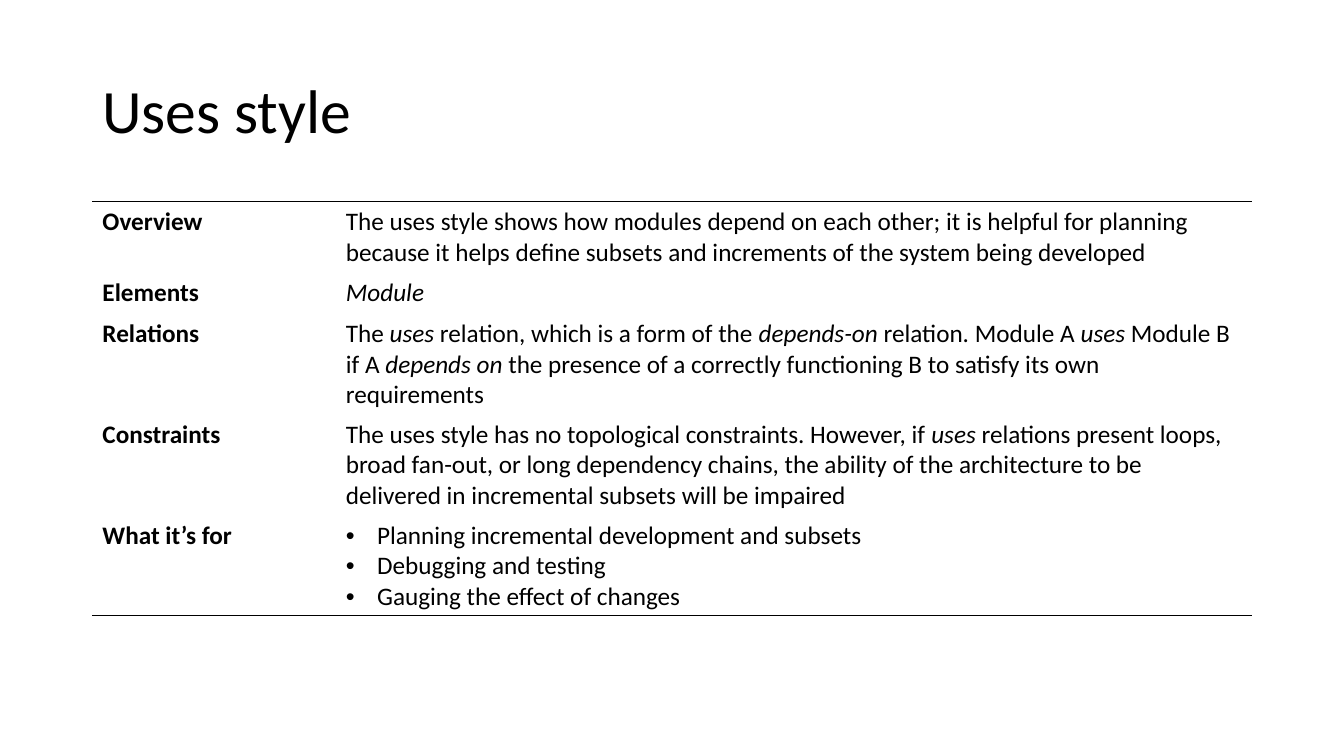
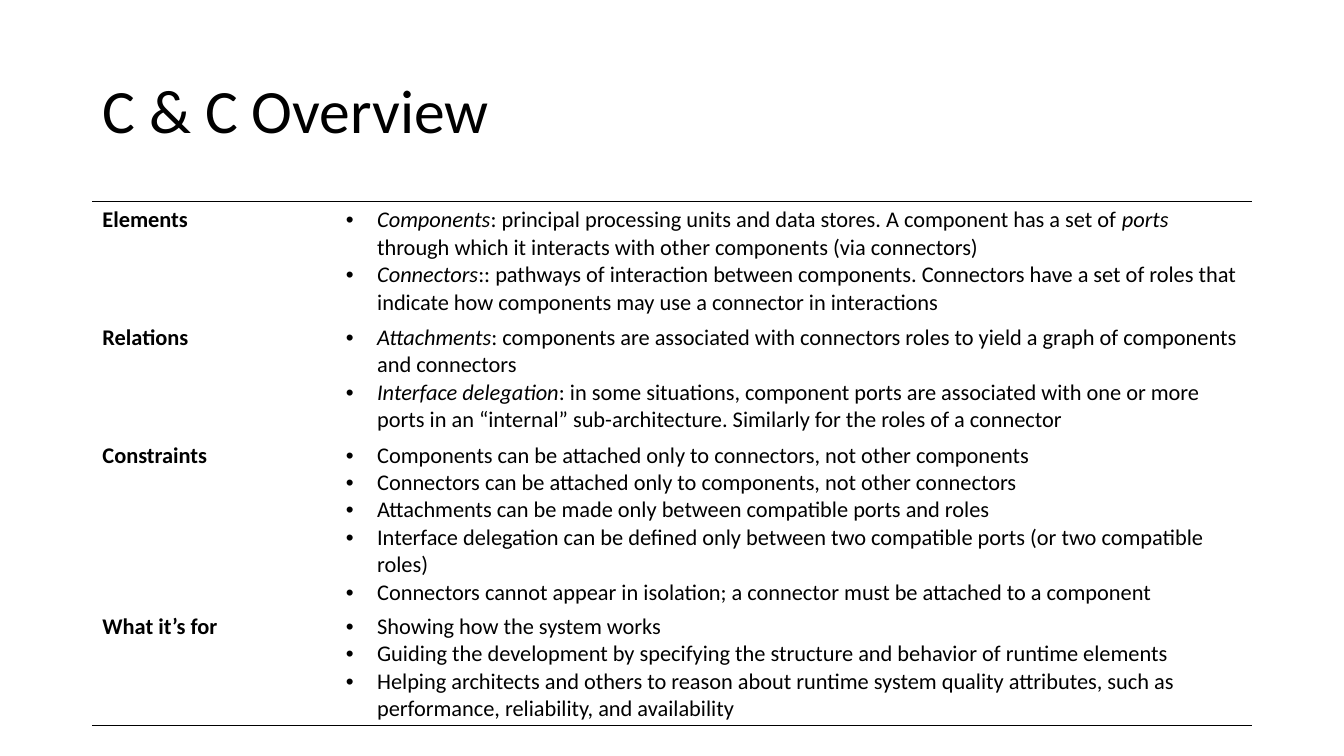
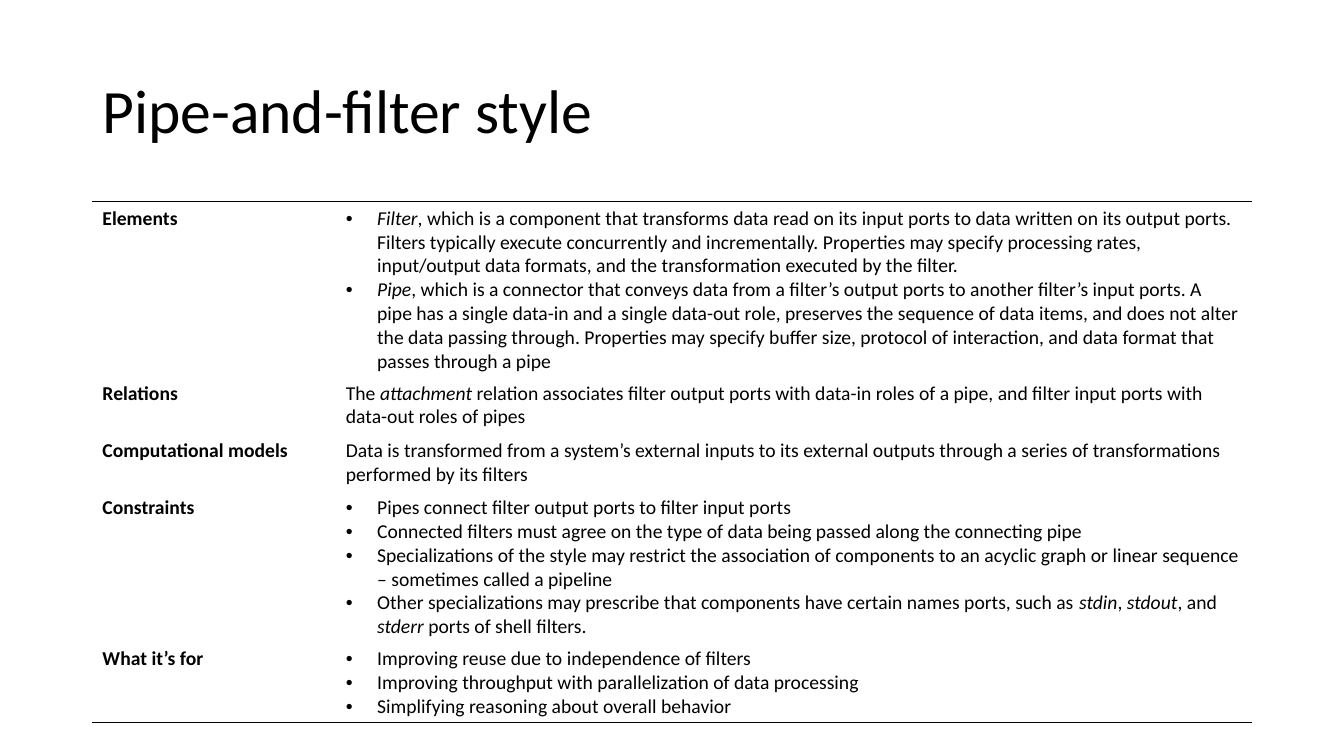
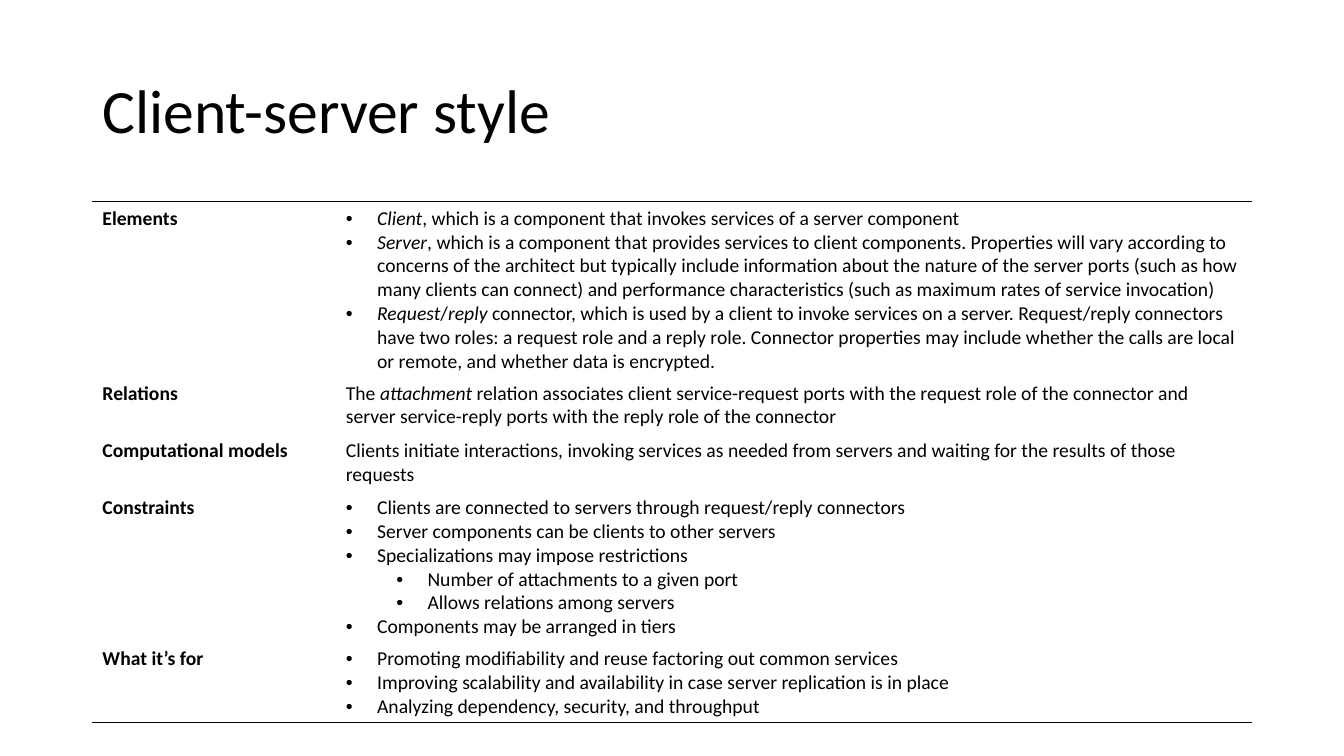
from collections import namedtuple

from lxml.etree import SubElement
from pptx import Presentation
from pptx.dml.color import RGBColor
from pptx.enum.text import MSO_ANCHOR as Anchor
from pptx.oxml import parse_xml
from pptx.oxml.ns import nsdecls, qn
from pptx.util import Inches, Pt

# Shared grid (160 columns by 90 rows) and style
COLUMNS, ROWS = 160, 90
FONT = "Calibri"
INK = "000000"
TITLE_SIZE = 44
LINE_WIDTH = 1
HANGING = 0.31
LEVEL_STEP = 0.5
NO_TABLE_STYLE = "{2D5ABB26-0587-4C30-8999-92F81FD0307C}"

Box = namedtuple("Box", "left top width height")
TITLE_BOX = Box(11, 4.8, 138, 17.4)
TABLE_BOX = Box(11, 24, 138, 4.9)  # the height is that of one row
LABEL_SHARE = 0.21

# Each slide: title, text size, and rows of a label and its paragraphs.
# Text between asterisks is italic; leading bullets give the list level.
SLIDES = [
    ("Uses style", 18, [
        ("Overview", [
            "The uses style shows how modules depend on each other; it is helpful for planning "
            "because it helps define subsets and increments of the system being developed"]),
        ("Elements", ["*Module*"]),
        ("Relations", [
            "The *uses* relation, which is a form of the *depends-on* relation. Module A *uses* "
            "Module B if A *depends on* the presence of a correctly functioning B to satisfy its "
            "own requirements"]),
        ("Constraints", [
            "The uses style has no topological constraints. However, if *uses* relations present "
            "loops, broad fan-out, or long dependency chains, the ability of the architecture to "
            "be delivered in incremental subsets will be impaired"]),
        ("What it’s for", [
            "•Planning incremental development and subsets",
            "•Debugging and testing",
            "•Gauging the effect of changes"]),
    ]),
    ("C & C Overview", 16, [
        ("Elements", [
            "•*Components*: principal processing units and data stores. A component has a set of "
            "*ports* through which it interacts with other components (via connectors)",
            "•*Connectors*:: pathways of interaction between components. Connectors have a set of "
            "roles that indicate how components may use a connector in interactions"]),
        ("Relations", [
            "•*Attachments*: components are associated with connectors roles to yield a graph of "
            "components and connectors",
            "•*Interface delegation*: in some situations, component ports are associated with one "
            "or more ports in an “internal” sub-architecture. Similarly for the roles of a "
            "connector"]),
        ("Constraints", [
            "•Components can be attached only to connectors, not other components",
            "•Connectors can be attached only to components, not other connectors",
            "•Attachments can be made only between compatible ports and roles",
            "•Interface delegation can be defined only between two compatible ports (or two "
            "compatible roles)",
            "•Connectors cannot appear in isolation; a connector must be attached to a component"]),
        ("What it’s for", [
            "•Showing how the system works",
            "•Guiding the development by specifying the structure and behavior of runtime elements",
            "•Helping architects and others to reason about runtime system quality attributes, "
            "such as performance, reliability, and availability"]),
    ]),
    ("Pipe-and-filter style", 14, [
        ("Elements", [
            "•*Filter*, which is a component that transforms data read on its input ports to data "
            "written on its output ports. Filters typically execute concurrently and "
            "incrementally. Properties may specify processing rates, input/output data formats, "
            "and the transformation executed by the filter.",
            "•*Pipe*, which is a connector that conveys data from a filter’s output ports to "
            "another filter’s input ports. A pipe has a single data-in and a single data-out "
            "role, preserves the sequence of data items, and does not alter the data passing "
            "through. Properties may specify buffer size, protocol of interaction, and data "
            "format that passes through a pipe"]),
        ("Relations", [
            "The *attachment* relation associates filter output ports with data-in roles of a "
            "pipe, and filter input ports with data-out roles of pipes"]),
        ("Computational models", [
            "Data is transformed from a system’s external inputs to its external outputs through "
            "a series of transformations performed by its filters"]),
        ("Constraints", [
            "•Pipes connect filter output ports to filter input ports",
            "•Connected filters must agree on the type of data being passed along the connecting "
            "pipe",
            "•Specializations of the style may restrict the association of components to an "
            "acyclic graph or linear sequence – sometimes called a pipeline",
            "•Other specializations may prescribe that components have certain names ports, such "
            "as *stdin*, *stdout*, and *stderr* ports of shell filters."]),
        ("What it’s for", [
            "•Improving reuse due to independence of filters",
            "•Improving throughput with parallelization of data processing",
            "•Simplifying reasoning about overall behavior"]),
    ]),
    ("Client-server style", 14, [
        ("Elements", [
            "•*Client*, which is a component that invokes services of a server component",
            "•*Server*, which is a component that provides services to client components. "
            "Properties will vary according to concerns of the architect but typically include "
            "information about the nature of the server ports (such as how many clients can "
            "connect) and performance characteristics (such as maximum rates of service "
            "invocation)",
            "•*Request*/*reply* connector, which is used by a client to invoke services on a "
            "server. Request/reply connectors have two roles: a request role and a reply role. "
            "Connector properties may include whether the calls are local or remote, and whether "
            "data is encrypted."]),
        ("Relations", [
            "The *attachment* relation associates client service-request ports with the request "
            "role of the connector and server service-reply ports with the reply role of the "
            "connector"]),
        ("Computational models", [
            "Clients initiate interactions, invoking services as needed from servers and waiting "
            "for the results of those requests"]),
        ("Constraints", [
            "•Clients are connected to servers through request/reply connectors",
            "•Server components can be clients to other servers",
            "•Specializations may impose restrictions",
            "••Number of attachments to a given port",
            "••Allows relations among servers",
            "•Components may be arranged in tiers"]),
        ("What it’s for", [
            "•Promoting modifiability and reuse factoring out common services",
            "•Improving scalability and availability in case server replication is in place",
            "•Analyzing dependency, security, and throughput"]),
    ]),
]


def color(value):
    return RGBColor.from_string(value)


def place(presentation, box):
    """Turn a box in grid units into slide lengths."""
    column = presentation.slide_width / COLUMNS
    row = presentation.slide_height / ROWS
    return Box(round(box.left * column), round(box.top * row),
               round(box.width * column), round(box.height * row))


def add_text(paragraph, text, size, bold=False):
    """Add runs, with every second part between asterisks in italics."""
    for index, part in enumerate(text.split("*")):
        if part:
            run = paragraph.add_run()
            run.text = part
            font = run.font
            font.name, font.size, font.bold = FONT, Pt(size), bold
            font.italic = index % 2 == 1
            font.color.rgb = color(INK)


def add_bullet(paragraph, level):
    paragraph.level = level
    properties = paragraph._p.get_or_add_pPr()
    properties.set("marL", str(Inches(HANGING + LEVEL_STEP * level)))
    properties.set("indent", str(-Inches(HANGING)))
    SubElement(properties, qn("a:buFont"), typeface="Arial")
    SubElement(properties, qn("a:buChar"), char="•")


def fill_cell(cell, paragraphs, size, bold=False):
    cell.fill.background()
    frame = cell.text_frame
    for index, text in enumerate(paragraphs):
        paragraph = frame.add_paragraph() if index else frame.paragraphs[0]
        content = text.lstrip("•")
        depth = len(text) - len(content)
        if depth:
            add_bullet(paragraph, depth - 1)
        add_text(paragraph, content, size, bold)


def add_border(cell, side):
    """Draw a line on the top (T) or bottom (B) side of a cell."""
    line = parse_xml(
        f'<a:ln{side} {nsdecls("a")} w="{Pt(LINE_WIDTH)}"><a:solidFill>'
        f'<a:srgbClr val="{INK}"/></a:solidFill></a:ln{side}>')
    cell._tc.get_or_add_tcPr().insert(0, line)


def add_title(slide, box, text):
    frame = slide.shapes.add_textbox(*box).text_frame
    frame.word_wrap = True
    frame.vertical_anchor = Anchor.MIDDLE
    paragraph = frame.paragraphs[0]
    paragraph.line_spacing = 0.9
    add_text(paragraph, text, TITLE_SIZE)


def add_style_table(slide, box, rows, size):
    """Place the table; its rows grow with their text."""
    table = slide.shapes.add_table(
        len(rows), 2, box.left, box.top, box.width, box.height * len(rows)).table
    table.first_row = table.horz_banding = False
    table._tbl.tblPr.find(qn("a:tableStyleId")).text = NO_TABLE_STYLE
    label_width = round(box.width * LABEL_SHARE)
    table.columns[0].width = label_width
    table.columns[1].width = box.width - label_width
    for index, (label, paragraphs) in enumerate(rows):
        table.rows[index].height = box.height
        fill_cell(table.cell(index, 0), [label], size, bold=True)
        fill_cell(table.cell(index, 1), paragraphs, size)
    # Rules above the first row and below the last
    for column in range(2):
        add_border(table.cell(0, column), "T")
        add_border(table.cell(len(rows) - 1, column), "B")


def add_style_slide(presentation, title, size, rows):
    slide = presentation.slides.add_slide(presentation.slide_layouts[6])
    add_title(slide, place(presentation, TITLE_BOX), title)
    add_style_table(slide, place(presentation, TABLE_BOX), rows, size)


def main():
    presentation = Presentation()
    presentation.slide_width = Inches(13.33)
    presentation.slide_height = Inches(7.5)
    for title, size, rows in SLIDES:
        add_style_slide(presentation, title, size, rows)
    presentation.save("out.pptx")


if __name__ == "__main__":
    main()
